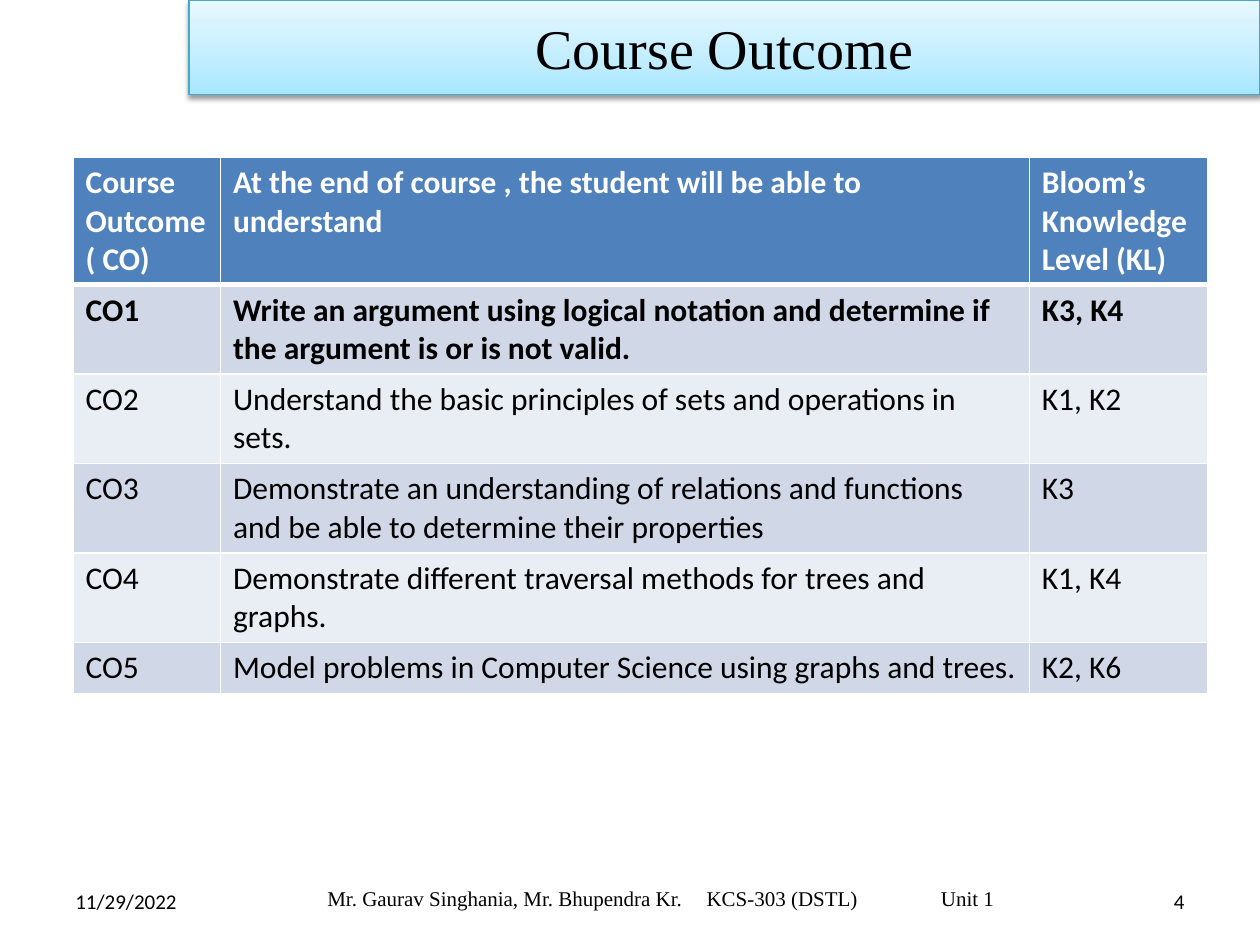
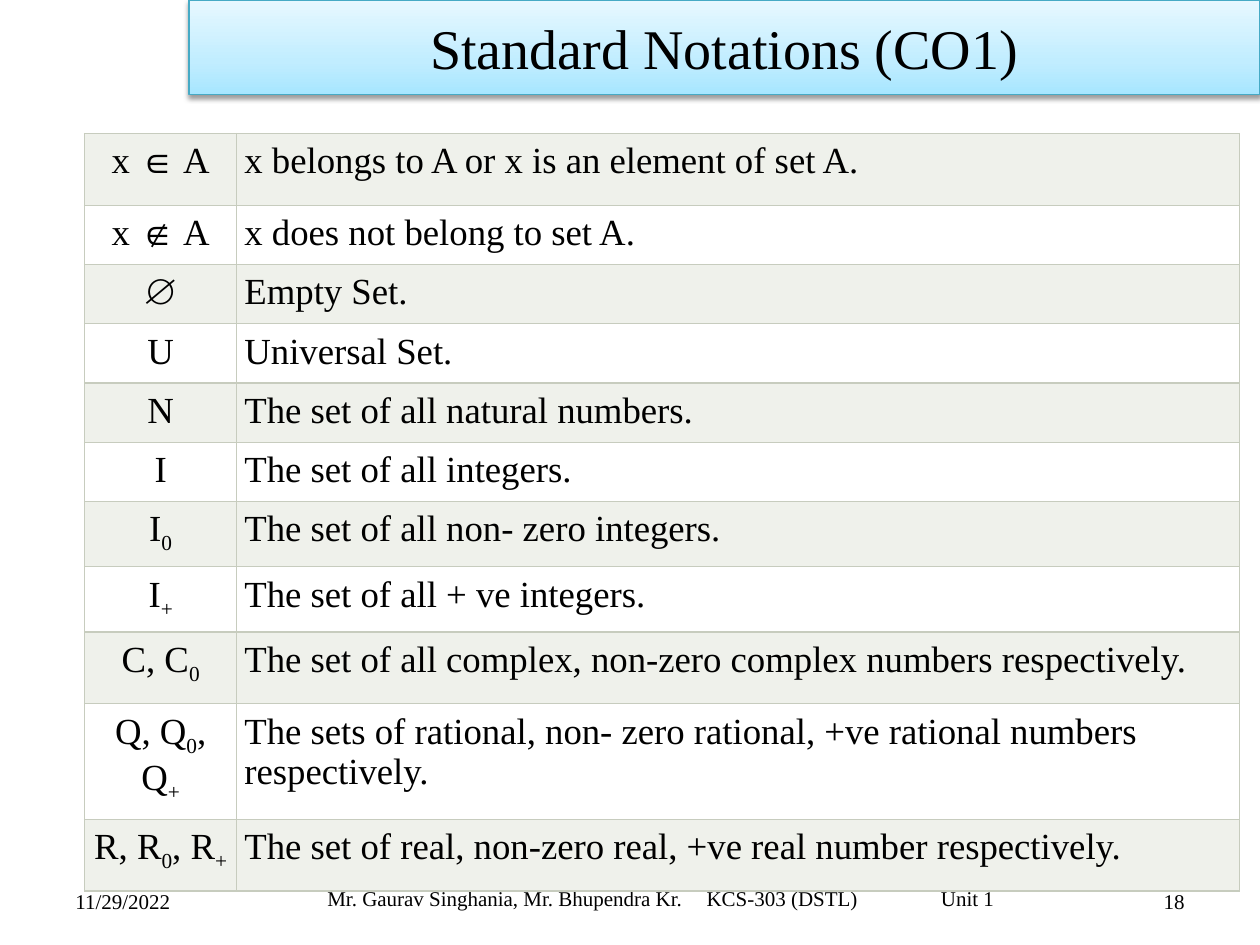
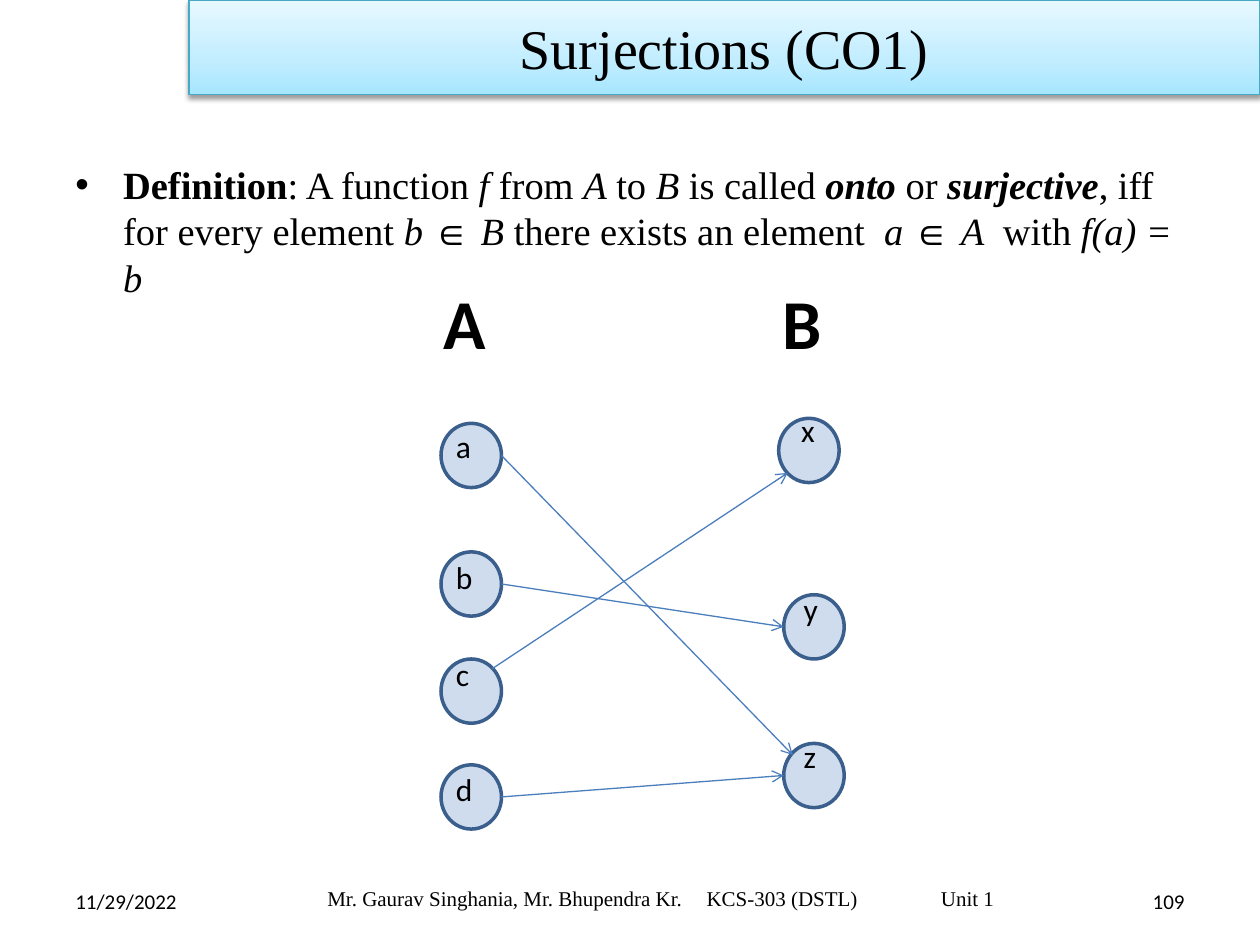
from dataclasses import dataclass

from lxml.etree import SubElement
from pptx import Presentation
from pptx.dml.color import RGBColor
from pptx.enum.shapes import MSO_CONNECTOR as Connector, MSO_SHAPE as Preset
from pptx.enum.text import MSO_ANCHOR as Anchor, PP_ALIGN as Align
from pptx.oxml import parse_xml
from pptx.oxml.ns import nsdecls, qn
from pptx.util import Emu, Inches, Pt


@dataclass(frozen=True)
class Theme:
    """Colours, fonts and type sizes shared by the slides."""
    ink: str = "000000"
    white: str = "FFFFFF"
    header: str = "4F81BD"
    outcome_bands: tuple = ("D0D8E8", "E9EDF4")
    notation_bands: tuple = ("EFF1EB", "FFFFFF")
    notation_border: str = "C7CCBE"
    banner_stops: tuple = ((0, "A7E6FF"), (35, "C1EDFF"), (100, "E7F8FF"))
    banner_line: str = "46AAC5"
    node_line: str = "3A5F8C"
    arrow: str = "4B7EBC"
    sans: str = "Calibri"
    serif: str = "Times New Roman"
    title: int = 32
    footer: int = 12
    outcome: int = 18
    notation: int = 21
    definition: int = 22
    set_name: int = 40


THEME = Theme()
DATE = "11/29/2022"
FOOTER = "Mr. Gaurav Singhania, Mr. Bhupendra Kr.\tKCS-303 (DSTL)\tUnit 1"
FOOTER_TABS = (3.01, 4.87)

OUTCOMES = [
    ("Course Outcome ( CO)", "At the end of course , the student will be able to understand",
     "Bloom’s Knowledge Level (KL)"),
    ("CO1", "Write an argument using logical notation and determine if the argument is or is not valid.",
     "K3, K4"),
    ("CO2", "Understand the basic principles of sets and operations in sets.", "K1, K2"),
    ("CO3", "Demonstrate an understanding of relations and functions and be able to determine their properties",
     "K3"),
    ("CO4", "Demonstrate different traversal methods for trees and graphs.", "K1, K4"),
    ("CO5", "Model problems in Computer Science using graphs and trees.", "K2, K6"),
]
OUTCOME_COLUMNS = (1.17, 6.42, 1.42)
OUTCOME_ROWS = [1.01] + [0.71] * 4 + [0.41]

NOTATIONS = [
    ("x ∈ A", "x belongs to A or x is an element of set A."),
    ("x ∉ A", "x does not belong to set A."),
    ("∅", "Empty Set."),
    ("U", "Universal Set."),
    ("N", "The set of all natural numbers."),
    ("I", "The set of all integers."),
    ("I_0", "The set of all non- zero integers."),
    ("I_+", "The set of all + ve integers."),
    ("C, C_0", "The set of all complex, non-zero complex numbers respectively."),
    ("Q, Q_0, Q_+", "The sets of rational, non- zero rational, +ve rational numbers respectively."),
    ("R, R_0, R_+", "The set of real, non-zero real, +ve real number respectively."),
]
NOTATION_COLUMNS = (1.21, 7.96)
NOTATION_ROWS = [0.57] + [0.45] * 5 + [0.49] * 2 + [0.57, 0.86, 0.57]

DEFINITION = [
    ("Definition", "b"), (": A function ", ""), ("f", "i"), (" from ", ""), ("A", "i"),
    (" to ", ""), ("B", "i"), (" is called ", ""), ("onto", "bi"), (" or ", ""),
    ("surjective", "bi"), (", iff for every element ", ""), ("b ", "i"), ("∈", ""),
    (" B", "i"), (" there exists an element  ", ""), ("a ", "i"), ("∈ ", ""), ("A ", "i"),
    (" with ", ""), ("f(a) = b", "i"),
]
SET_NAMES = {"A": 3.42, "B": 6.11}
NODE_SIZE = (0.48, 0.51)
NODES = {
    "a": ((3.5, 3.36), (3.52, 3.34)),
    "b": ((3.5, 4.38), (3.52, 4.38)),
    "c": ((3.5, 5.23), (3.52, 5.15)),
    "d": ((3.5, 6.07), (3.52, 6.06)),
    "x": ((6.18, 3.32), (6.26, 3.21)),
    "y": ((6.22, 4.72), (6.28, 4.63)),
    "z": ((6.22, 5.9), (6.28, 5.8)),
}
SITES = {"left": (0, 0.5), "right": (1, 0.5), "top left": (0.15, 0.18),
         "top right": (0.85, 0.15), "bottom left": (0.15, 0.85)}
MAPPINGS = [("b", "right", "y", "left"), ("a", "right", "z", "top left"),
            ("c", "top right", "x", "bottom left"), ("d", "right", "z", "left")]


def rgb(color):
    """Turn a hex string into a colour."""
    return RGBColor.from_string(color)


def style(paragraph, size, face, color=THEME.ink, bold=False, align=Align.LEFT):
    """Format a whole paragraph."""
    paragraph.alignment = align
    font = paragraph.font
    font.size, font.name, font.bold = Pt(size), face, bold
    font.color.rgb = rgb(color)


def add_text(slide, box, text, size, face, anchor=Anchor.TOP, **options):
    """Add a wrapped text box holding one paragraph."""
    frame = slide.shapes.add_textbox(*map(Inches, box)).text_frame
    frame.word_wrap, frame.vertical_anchor = True, anchor
    paragraph = frame.paragraphs[0]
    paragraph.text = text
    style(paragraph, size, face, **options)
    return paragraph


def style_banner(title):
    """Give the title its gradient, outline and shadow."""
    title.left, title.top, title.width, title.height = map(Inches, (1.5, 0, 8.5, 0.75))
    stops = "".join(f'<a:gs pos="{share * 1000}"><a:srgbClr val="{color}"/></a:gs>'
                    for share, color in THEME.banner_stops)
    properties = title.fill._xPr
    properties.append(parse_xml(
        f'<a:gradFill {nsdecls("a")} rotWithShape="1"><a:gsLst>{stops}</a:gsLst>'
        '<a:lin ang="16200000" scaled="0"/></a:gradFill>'))
    title.line.color.rgb = rgb(THEME.banner_line)
    title.line.width = Pt(0.75)
    properties.append(parse_xml(
        f'<a:effectLst {nsdecls("a")}><a:outerShdw blurRad="{Pt(3.1)}" dist="{Pt(1.6)}" '
        'dir="5400000" rotWithShape="0"><a:srgbClr val="000000"><a:alpha val="38000"/>'
        '</a:srgbClr></a:outerShdw></a:effectLst>'))


def start_slide(presentation, heading, number, face=THEME.sans):
    """Add a slide with its banner title and footers."""
    slide = presentation.slides.add_slide(presentation.slide_layouts[5])
    title = slide.shapes.title
    style_banner(title)
    title.text_frame.text = heading
    title.text_frame.vertical_anchor = Anchor.MIDDLE
    style(title.text_frame.paragraphs[0], THEME.title, THEME.serif, align=Align.CENTER)

    add_text(slide, (0.5, 6.95, 2.33, 0.4), DATE, THEME.footer, face, Anchor.MIDDLE)
    add_text(slide, (7.17, 6.95, 2.33, 0.4), str(number), THEME.footer, face, Anchor.MIDDLE,
             align=Align.RIGHT)
    frame = slide.shapes.add_textbox(*map(Inches, (2.5, 6.93, 5.5, 0.4))).text_frame
    frame.word_wrap, frame.vertical_anchor = True, Anchor.MIDDLE
    paragraph = frame.paragraphs[0]
    paragraph.text = FOOTER
    tabs = SubElement(paragraph._p.get_or_add_pPr(), qn("a:tabLst"))
    for position in FOOTER_TABS:
        SubElement(tabs, qn("a:tab"), pos=str(Inches(position)), algn="l")
    style(paragraph, THEME.footer, THEME.serif)
    return slide


def add_grid(slide, corner, columns, heights, has_header):
    """Add an unbanded table with the given column widths and row heights."""
    frame = slide.shapes.add_table(len(heights), len(columns), *map(Inches, corner),
                                   Inches(sum(columns)), Inches(sum(heights)))
    table = frame.table
    table.first_row, table.horz_banding = has_header, False
    for column, width in zip(table.columns, columns):
        column.width = Inches(width)
    for row, height in zip(table.rows, heights):
        row.height = Inches(height)
    return table


def paint_cell(cell, fill, border, width, **wider):
    """Set a cell's borders, then its fill."""
    properties = cell._tc.get_or_add_tcPr()
    for side in "LRTB":
        properties.append(parse_xml(
            f'<a:ln{side} {nsdecls("a")} w="{Pt(wider.get(side, width))}"><a:solidFill>'
            f'<a:srgbClr val="{border}"/></a:solidFill></a:ln{side}>'))
    cell.fill.solid()
    cell.fill.fore_color.rgb = rgb(fill)


def add_subscripted(paragraph, text):
    """Write text in which an underscore lowers the next character."""
    first, *others = text.split("_")
    paragraph.add_run().text = first
    for part in others:
        lowered = paragraph.add_run()
        lowered.text = part[0]
        lowered._r.get_or_add_rPr().set("baseline", "-25000")
        if part[1:]:
            paragraph.add_run().text = part[1:]


def build_outcomes(presentation):
    """Build the course outcome table."""
    slide = start_slide(presentation, "Course Outcome", 4)
    table = add_grid(slide, (0.58, 1.25), OUTCOME_COLUMNS, OUTCOME_ROWS, True)
    for row, texts in enumerate(OUTCOMES):
        fill = THEME.outcome_bands[(row - 1) % 2] if row else THEME.header
        wider = {0: {"B": 3}, 1: {"T": 3}}.get(row, {})
        for column, text in enumerate(texts):
            cell = table.cell(row, column)
            paint_cell(cell, fill, THEME.white, 1, **wider)
            cell.text = text
            style(cell.text_frame.paragraphs[0], THEME.outcome, THEME.sans,
                  THEME.ink if row else THEME.white, bold=row < 2)


def build_notations(presentation):
    """Build the table of set notations."""
    slide = start_slide(presentation, "Standard Notations (CO1)", 18, THEME.serif)
    table = add_grid(slide, (0.67, 1.06), NOTATION_COLUMNS, NOTATION_ROWS, False)
    for row, texts in enumerate(NOTATIONS):
        for column, text in enumerate(texts):
            cell = table.cell(row, column)
            paint_cell(cell, THEME.notation_bands[row % 2], THEME.notation_border, 0.75)
            cell.margin_left = cell.margin_right = Inches(0.06)
            cell.margin_top = cell.margin_bottom = Inches(0.06)
            paragraph = cell.text_frame.paragraphs[0]
            add_subscripted(paragraph, text)
            style(paragraph, THEME.notation, THEME.serif,
                  align=Align.LEFT if column else Align.CENTER)


def add_definition(slide):
    """Add the bulleted definition."""
    frame = slide.shapes.add_textbox(*map(Inches, (0.5, 1.23, 9, 5.25))).text_frame
    frame.word_wrap = True
    paragraph = frame.paragraphs[0]
    properties = paragraph._p.get_or_add_pPr()
    properties.set("marL", str(Inches(0.38)))
    properties.set("indent", str(Inches(-0.38)))
    SubElement(properties, qn("a:buFont"), typeface="Arial")
    SubElement(properties, qn("a:buChar"), char="•")
    style(paragraph, THEME.definition, THEME.serif)
    for text, emphasis in DEFINITION:
        run = paragraph.add_run()
        run.text = text
        run.font.bold, run.font.italic = "b" in emphasis, "i" in emphasis


def add_node(slide, letter):
    """Add a translucent circle and its letter."""
    corner, label = NODES[letter]
    node = slide.shapes.add_shape(Preset.FLOWCHART_CONNECTOR, *map(Inches, corner + NODE_SIZE))
    node.shadow.inherit = False
    node.fill.solid()
    node.fill.fore_color.rgb = rgb(THEME.header)
    color = node.fill._xPr.find(qn("a:solidFill"))[0]
    SubElement(color, qn("a:alpha"), val="27000")
    node.line.color.rgb = rgb(THEME.node_line)
    node.line.width = Pt(2)
    add_text(slide, label + (0.32, 0.41), letter, THEME.outcome, THEME.sans)
    return node


def site_point(node, site):
    """Find a named point on a circle's rim."""
    across, down = SITES[site]
    return Emu(int(node.left + across * node.width)), Emu(int(node.top + down * node.height))


def add_arrow(slide, start, end):
    """Add an open-headed arrow between two points."""
    arrow = slide.shapes.add_connector(Connector.STRAIGHT, *start, *end)
    arrow.line.color.rgb = rgb(THEME.arrow)
    arrow.line.width = Pt(0.75)
    SubElement(arrow.line._get_or_add_ln(), qn("a:tailEnd"), type="arrow")
    SubElement(arrow._element.spPr, qn("a:effectLst"))


def build_surjections(presentation):
    """Build the definition and diagram of a surjection."""
    slide = start_slide(presentation, "Surjections (CO1)", 109)
    add_definition(slide)
    for name, left in SET_NAMES.items():
        add_text(slide, (left, 2.17, 0.72, 0.79), name, THEME.set_name, THEME.sans, bold=True)
    nodes = {letter: add_node(slide, letter) for letter in NODES}
    for source, leaving, target, entering in MAPPINGS:
        add_arrow(slide, site_point(nodes[source], leaving), site_point(nodes[target], entering))


def main():
    """Build and save the presentation."""
    presentation = Presentation()
    presentation.slide_width, presentation.slide_height = Inches(10), Inches(7.5)
    build_outcomes(presentation)
    build_notations(presentation)
    build_surjections(presentation)
    presentation.save("out.pptx")


if __name__ == "__main__":
    main()
